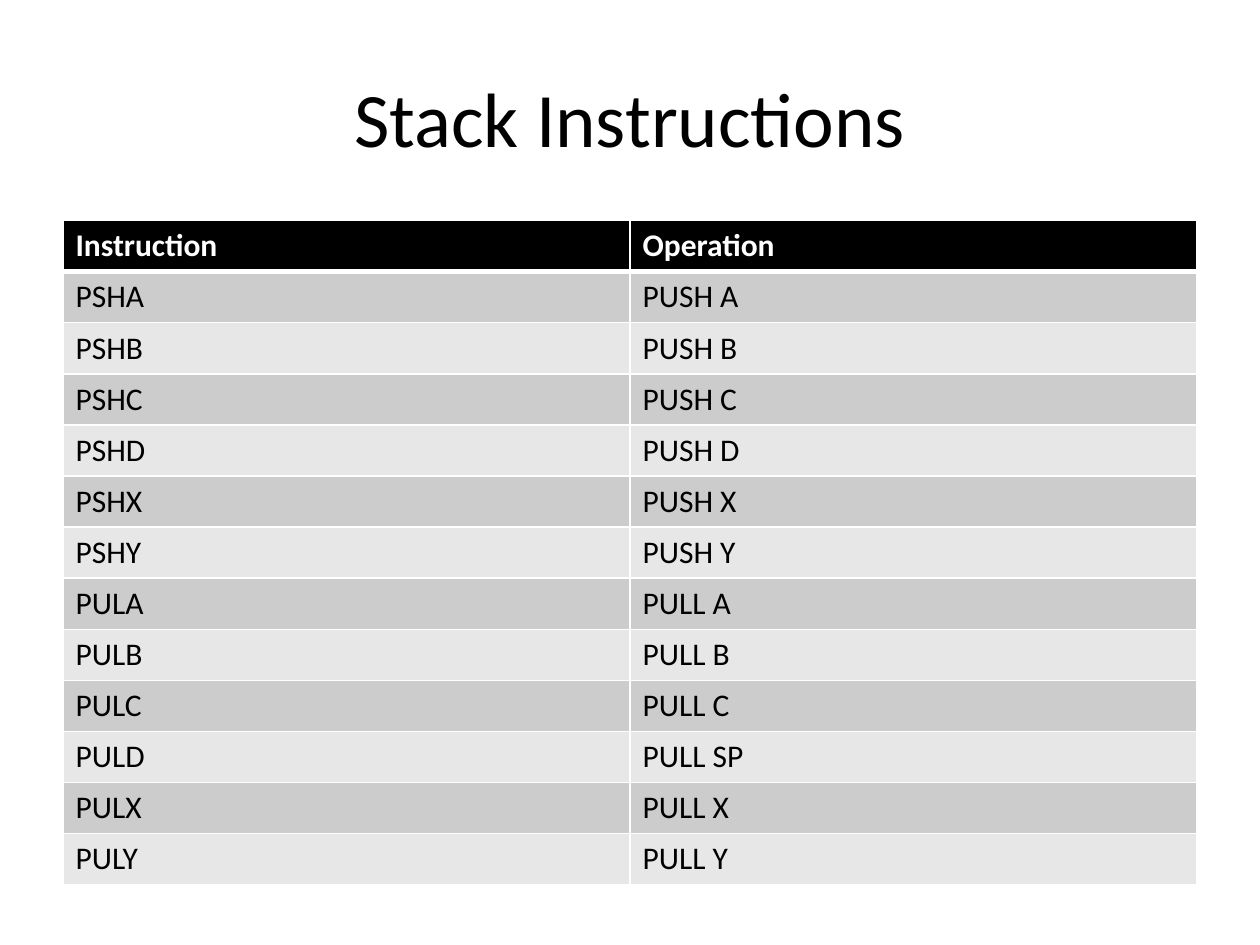
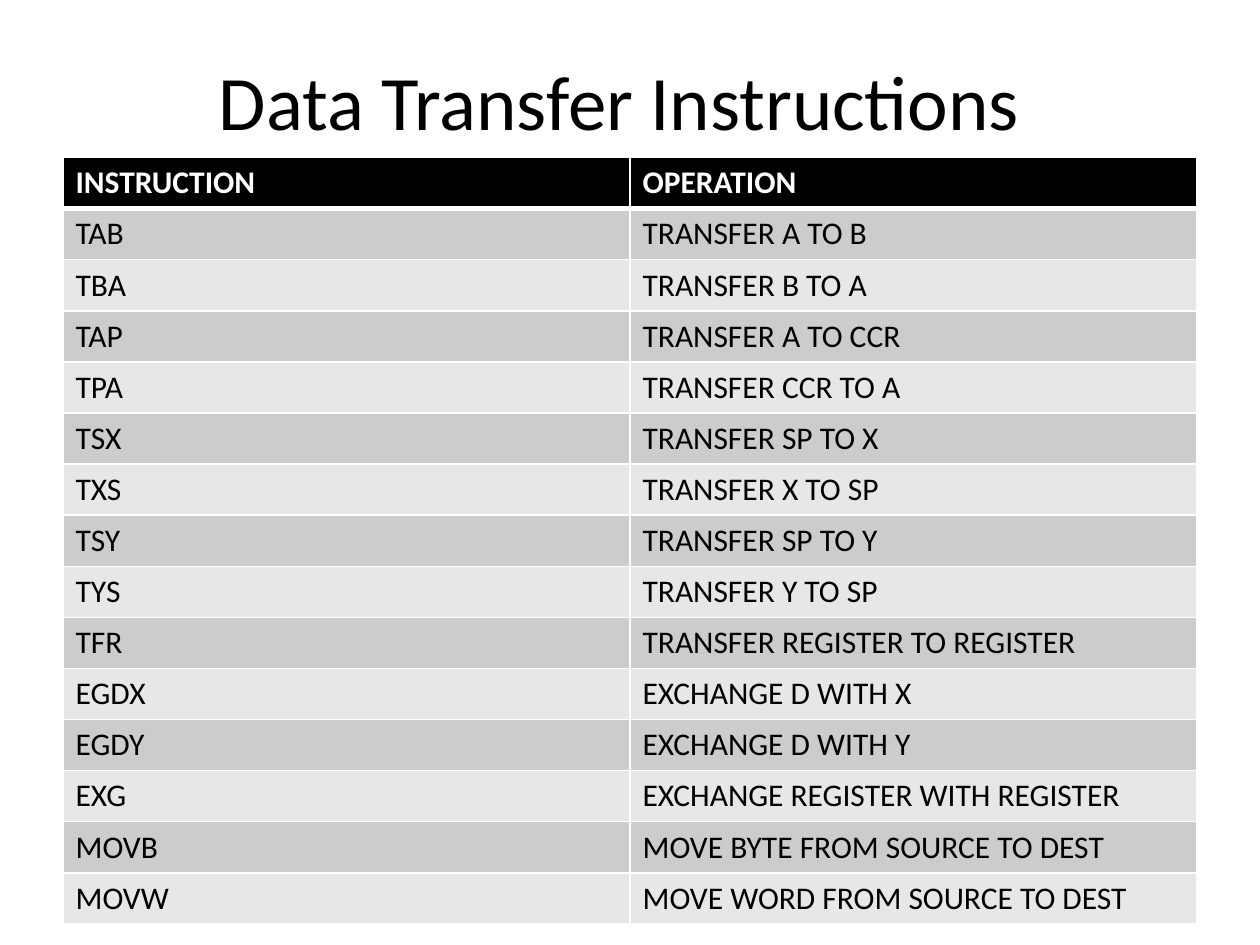
from lxml.etree import SubElement
from pptx import Presentation
from pptx.dml.color import RGBColor
from pptx.enum.text import MSO_ANCHOR, PP_ALIGN
from pptx.oxml.ns import qn
from pptx.util import Pt

# Content: title, its left and top, table top, heading row, body rows
SLIDES = [
    {
        "title": "Stack Instructions",
        "title_at": (36, 21.6),
        "table_top": 126,
        "heading": ("Instruction", "Operation"),
        "rows": [
            ("PSHA", "PUSH A"),
            ("PSHB", "PUSH B"),
            ("PSHC", "PUSH C"),
            ("PSHD", "PUSH D"),
            ("PSHX", "PUSH X"),
            ("PSHY", "PUSH Y"),
            ("PULA", "PULL A"),
            ("PULB", "PULL B"),
            ("PULC", "PULL C"),
            ("PULD", "PULL SP"),
            ("PULX", "PULL X"),
            ("PULY", "PULL Y"),
        ],
    },
    {
        "title": "Data Transfer Instructions",
        "title_at": (30, 12),
        "table_top": 90,
        "heading": ("INSTRUCTION", "OPERATION"),
        "rows": [
            ("TAB", "TRANSFER A TO B"),
            ("TBA", "TRANSFER B TO A"),
            ("TAP", "TRANSFER A TO CCR"),
            ("TPA", "TRANSFER CCR TO A"),
            ("TSX", "TRANSFER SP TO X"),
            ("TXS", "TRANSFER X TO SP"),
            ("TSY", "TRANSFER SP TO Y"),
            ("TYS", "TRANSFER Y TO SP"),
            ("TFR", "TRANSFER REGISTER TO REGISTER"),
            ("EGDX", "EXCHANGE D WITH X"),
            ("EGDY", "EXCHANGE D WITH Y"),
            ("EXG", "EXCHANGE REGISTER WITH REGISTER"),
            ("MOVB", "MOVE BYTE FROM SOURCE TO DEST"),
            ("MOVW", "MOVE WORD FROM SOURCE TO DEST"),
        ],
    },
]

# Shared look
FONT = "Calibri"
BLACK = RGBColor(0x00, 0x00, 0x00)
WHITE = RGBColor(0xFF, 0xFF, 0xFF)
DARK_BAND = RGBColor(0xCC, 0xCC, 0xCC)
LIGHT_BAND = RGBColor(0xE7, 0xE7, 0xE7)
LEFT, WIDTH = 36, 648
TITLE_HEIGHT, ROW_HEIGHT = 90, 29.2
THIN, THICK = 1, 3


def add_span(para, text, size, color, bold=False):
    span = para.add_run()
    span.text = text
    span.font.name = FONT
    span.font.size = Pt(size)
    span.font.bold = bold
    span.font.color.rgb = color


def add_title(page, text, left, top):
    box = page.shapes.add_textbox(Pt(left), Pt(top), Pt(WIDTH), Pt(TITLE_HEIGHT))
    frame = box.text_frame
    frame.word_wrap = True
    frame.vertical_anchor = MSO_ANCHOR.MIDDLE
    para = frame.paragraphs[0]
    para.alignment = PP_ALIGN.CENTER
    add_span(para, text, 44, BLACK)


def set_borders(cell, top, bottom):
    properties = cell._tc.get_or_add_tcPr()
    for side, width in (("L", THIN), ("R", THIN), ("T", top), ("B", bottom)):
        line = SubElement(properties, qn(f"a:ln{side}"), w=str(Pt(width)))
        fill = SubElement(line, qn("a:solidFill"))
        SubElement(fill, qn("a:srgbClr"), val=str(WHITE))


def add_instruction_table(page, top, rows):
    columns = len(rows[0])
    frame = page.shapes.add_table(len(rows), columns, Pt(LEFT), Pt(top),
                                  Pt(WIDTH), Pt(ROW_HEIGHT * len(rows)))
    table = frame.table
    for column in table.columns:
        column.width = Pt(WIDTH / columns)
    for r, texts in enumerate(rows):
        table.rows[r].height = Pt(ROW_HEIGHT)
        heading = r == 0
        band = BLACK if heading else DARK_BAND if r % 2 else LIGHT_BAND
        for c, text in enumerate(texts):
            cell = table.cell(r, c)
            # Borders go before the fill; the rule under the heading is thick
            set_borders(cell, THICK if r == 1 else THIN, THICK if heading else THIN)
            cell.fill.solid()
            cell.fill.fore_color.rgb = band
            add_span(cell.text_frame.paragraphs[0], text, 18,
                     WHITE if heading else BLACK, heading)


def main():
    deck = Presentation()
    deck.slide_width, deck.slide_height = Pt(720), Pt(540)
    for content in SLIDES:
        page = deck.slides.add_slide(deck.slide_layouts[6])
        add_title(page, content["title"], *content["title_at"])
        add_instruction_table(page, content["table_top"],
                              [content["heading"], *content["rows"]])
    deck.save("out.pptx")


if __name__ == "__main__":
    main()
